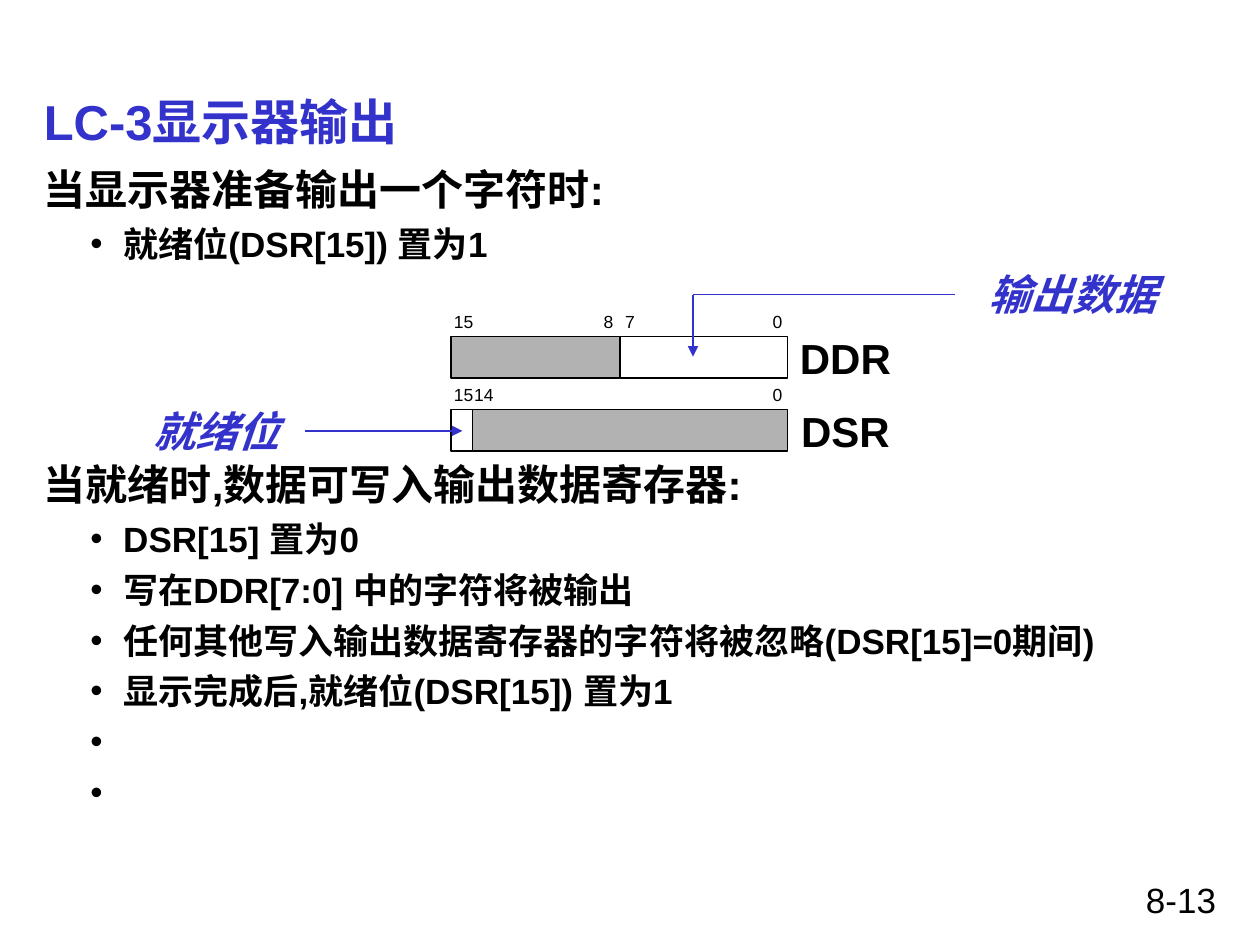
from lxml.etree import SubElement
from pptx import Presentation
from pptx.dml.color import RGBColor
from pptx.enum.shapes import MSO_CONNECTOR, MSO_SHAPE
from pptx.enum.text import MSO_ANCHOR, PP_ALIGN
from pptx.oxml.ns import qn
from pptx.util import Inches, Pt

HUES = {"ink": "000000", "blue": "3333CC", "gray": "B2B2B2", "white": "FFFFFF"}


def hue(name):
    """Return a named colour."""
    return RGBColor.from_string(HUES[name])


def add_run(para, text, size, color="ink", bold=True, slant=False):
    """Add one styled run to a paragraph."""
    run = para.add_run()
    run.text = text
    font = run.font
    font.name, font.size = "Arial", Pt(size)
    font.bold, font.italic = bold, slant
    font.color.rgb = hue(color)


def add_box(slide, x, y, w, h, wrap=True):
    """Add an empty text box and return its frame."""
    box = slide.shapes.add_textbox(Inches(x), Inches(y), Inches(w), Inches(h))
    box.text_frame.word_wrap = wrap
    return box.text_frame


def add_label(slide, mid, y, w, h, text, size, **style):
    """Add a centred label around a middle x."""
    frame = add_box(slide, mid - w / 2, y, w, h, False)
    frame.margin_left = frame.margin_right = 0
    para = frame.paragraphs[0]
    para.alignment = PP_ALIGN.CENTER
    add_run(para, text, size, **style)


def add_line(slide, x, y, to_x, to_y, arrow=True):
    """Draw a thin blue line, with an arrowhead if asked."""
    line = slide.shapes.add_connector(
        MSO_CONNECTOR.STRAIGHT, Inches(x), Inches(y), Inches(to_x), Inches(to_y))
    line.line.color.rgb = hue("blue")
    line.line.width = Pt(0.75)
    if arrow:
        SubElement(line.line._get_or_add_ln(), qn("a:tailEnd"), type="triangle")
    SubElement(line._element.spPr, qn("a:effectLst"))


def add_title(slide, x, y, w, h, text):
    """Place the slide title."""
    frame = add_box(slide, x, y, w, h)
    frame.vertical_anchor = MSO_ANCHOR.MIDDLE
    add_run(frame.paragraphs[0], text, 28, "blue")


def add_item(frame, text):
    """Add one bullet."""
    para = frame.add_paragraph()
    para.space_before = Pt(5)
    props = para._p.get_or_add_pPr()
    props.set("marL", str(Inches(0.63)))
    props.set("indent", str(Inches(-0.26)))
    tint = SubElement(props, qn("a:buClr"))
    SubElement(tint, qn("a:srgbClr"), val=HUES["ink"])
    SubElement(props, qn("a:buFont"), typeface="Arial")
    SubElement(props, qn("a:buChar"), char="•")
    add_run(para, text, 20)


def add_list(slide, x, y, w, h, head, items):
    """Place a heading with bullets below it."""
    frame = add_box(slide, x, y, w, h)
    add_run(frame.paragraphs[0], head, 24)
    for item in items:
        add_item(frame, item)


def add_reg(slide, x, y, w, name, parts, bits):
    """Draw a register: bit numbers, filled parts and its name."""
    left = x
    for part, fill in parts:
        rect = slide.shapes.add_shape(
            MSO_SHAPE.RECTANGLE, Inches(left), Inches(y + 0.25),
            Inches(part), Inches(0.33))
        rect.shadow.inherit = False
        rect.fill.solid()
        rect.fill.fore_color.rgb = hue(fill)
        rect.line.color.rgb = hue("ink")
        rect.line.width = Pt(0.75)
        left += part
    for mid, bit in bits:
        wide = 0.19 + 0.08 * len(bit)
        add_label(slide, x + mid, y, wide, 0.27, bit, 10, bold=False)
    add_label(slide, x + w + 0.46, y + 0.17, 0.9, 0.5, name, 24)


def add_chart(slide, x, y):
    """Place both registers with their callouts."""
    add_reg(slide, x, y, 2.67, "DDR", [(1.34, "gray"), (1.33, "white")],
            [(0.1, "15"), (1.25, "8"), (1.42, "7"), (2.59, "0")])
    add_reg(slide, x, y + 0.58, 2.67, "DSR", [(0.17, "white"), (2.5, "gray")],
            [(0.1, "15"), (0.26, "14"), (2.59, "0")])
    note = {"color": "blue", "slant": True}
    add_label(slide, x + 4.93, y - 0.34, 1.53, 0.5, "输出数据", 24, **note)
    add_line(slide, x + 4, y - 0.08, x + 1.92, y - 0.08, False)
    add_line(slide, x + 1.92, y - 0.08, x + 1.92, y + 0.41)
    add_label(slide, x - 1.86, y + 0.75, 1.2, 0.5, "就绪位", 24, **note)
    add_line(slide, x - 1.16, y + 1, x + 0.09, y + 1)


def add_page(slide, x, y, w, h, text):
    """Place the page number."""
    para = add_box(slide, x, y, w, h).paragraphs[0]
    para.alignment = PP_ALIGN.RIGHT
    add_run(para, text, 20, bold=False)


def main():
    """Build and save the slide."""
    deck = Presentation()
    deck.slide_width, deck.slide_height = Inches(10), Inches(7.5)
    slide = deck.slides.add_slide(deck.slide_layouts[6])
    add_page(slide, 7.17, 6.92, 2.58, 0.42, "8-13")
    add_title(slide, 0.25, 0.67, 9.5, 0.58, "LC-3显示器输出")
    add_list(slide, 0.25, 1.25, 9.5, 1, "当显示器准备输出一个字符时:",
             ["就绪位(DSR[15]) 置为1"])
    add_list(slide, 0.25, 3.59, 9.5, 3.08, "当就绪时,数据可写入输出数据寄存器:",
             ["DSR[15] 置为0", "写在DDR[7:0] 中的字符将被输出",
              "任何其他写入输出数据寄存器的字符将被忽略(DSR[15]=0期间)",
              "显示完成后,就绪位(DSR[15]) 置为1", "\n"])
    add_chart(slide, 3.58, 2.42)
    deck.save("out.pptx")


if __name__ == "__main__":
    main()
